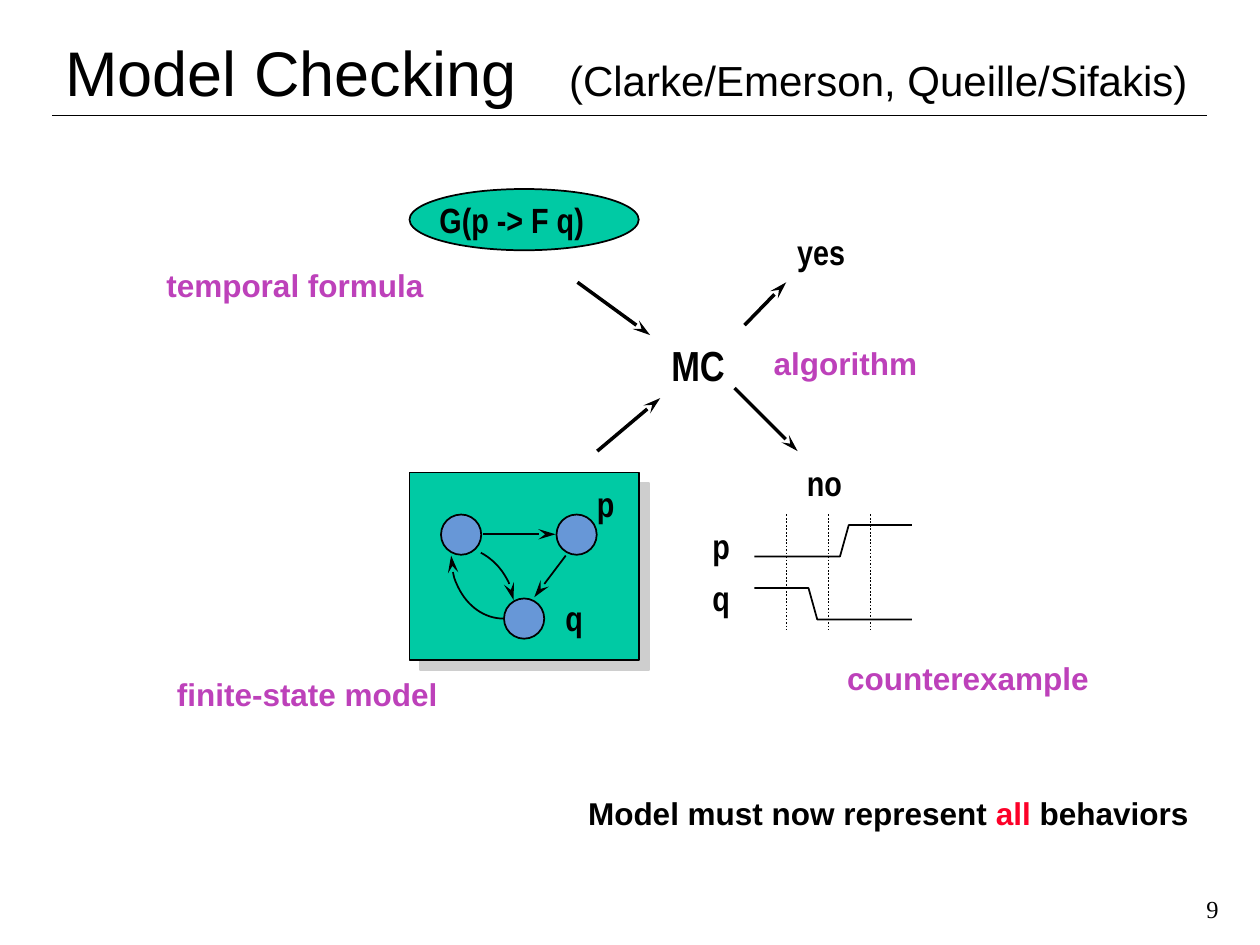
from typing import NamedTuple

from lxml import etree
from pptx import Presentation
from pptx.dml.color import RGBColor
from pptx.enum import dml, shapes, text
from pptx.oxml import ns
from pptx.util import Pt

BLACK = RGBColor(0x00, 0x00, 0x00)
GREEN = RGBColor(0x00, 0xCA, 0xA4)
BLUE = RGBColor(0x67, 0x97, 0xD7)
PURPLE = RGBColor(0xBD, 0x41, 0xBA)
RED = RGBColor(0xFC, 0x01, 0x28)
NARROW = "Arial Narrow"
STATE_SIZE = 23


class Label(NamedTuple):
    words: str
    left: float
    top: float
    width: float


class Segment(NamedTuple):
    x1: float
    y1: float
    x2: float
    y2: float


class Curve(NamedTuple):
    left: float
    top: float
    width: float
    height: float
    start_degrees: float
    end_degrees: float


SYMBOLS = [
    Label("G(p -> F q)", 244, 110, 98),
    Label("yes", 448.5, 128, 42),
    Label("no", 454, 260, 35),
    Label("p", 334, 272, 25),
    Label("q", 316, 337.5, 25),
    Label("p", 400, 296, 25),
    Label("q", 400, 326, 25),
]
CAPTIONS = [
    Label("temporal formula", 88, 148.3, 163),
    Label("finite-state model", 94, 382.3, 165),
    Label("algorithm", 435, 193, 98),
    Label("counterexample", 477, 373, 154),
]
STATES = [(252, 294), (318, 294), (288, 342)]
TRANSITIONS = [Segment(276, 305.3, 317.5, 305.3), Segment(323.3, 317.5, 305.3, 341.3)]
CURVED_TRANSITIONS = [
    Curve(257.8, 281.5, 59.8, 72, 90, 180),
    Curve(223.2, 311.8, 70.6, 72, 297, 352),
]
FLOWS = [
    Segment(330, 161.3, 371.5, 191.5),
    Segment(341.3, 257.8, 377.3, 227.5),
    Segment(425.5, 185.8, 449.3, 161.3),
    Segment(419.8, 221.8, 455.8, 257.8),
]
WAVES = [
    [(431, 318), (480, 318), (485, 300), (521, 300)],
    [(431, 336), (462, 336), (467, 354), (521, 354)],
]


def add_span(para, words: str, *, size: float, font="Arial", color=BLACK, bold=False):
    span = para.add_run()
    span.text = words
    span.font.size = Pt(size)
    span.font.name = font
    span.font.bold = bold
    span.font.color.rgb = color
    return span


def add_label(page, label: Label, *, height: float, **style):
    box = page.shapes.add_textbox(*map(Pt, (label.left, label.top, label.width, height)))
    box.text_frame.word_wrap = False
    box.text_frame.auto_size = text.MSO_AUTO_SIZE.SHAPE_TO_FIT_TEXT
    para = box.text_frame.paragraphs[0]
    add_span(para, label.words, **style)
    return para


def style_line(line, width: float = 1, arrow: bool = False) -> None:
    line.color.rgb = BLACK
    line.width = Pt(width)
    if arrow:
        properties = line._get_or_add_ln()
        etree.SubElement(properties, ns.qn("a:tailEnd"), type="stealth", w="med", len="lg")


def add_segment(page, segment: Segment, width: float = 1, arrow: bool = False):
    connector = page.shapes.add_connector(shapes.MSO_CONNECTOR.STRAIGHT, *map(Pt, segment))
    style_line(connector.line, width, arrow)
    etree.SubElement(connector._element.spPr, ns.qn("a:effectLst"))
    return connector


def add_solid(page, kind, left: float, top: float, width: float, height: float, color):
    shape = page.shapes.add_shape(kind, *map(Pt, (left, top, width, height)))
    shape.shadow.inherit = False
    shape.fill.solid()
    shape.fill.fore_color.rgb = color
    style_line(shape.line)
    return shape


def add_drop_shadow(shape) -> None:
    effects = shape._element.spPr.find(ns.qn("a:effectLst"))
    shadow = etree.SubElement(
        effects, ns.qn("a:outerShdw"), dist=str(Pt(8.5)), dir="2700000", algn="ctr", rotWithShape="0"
    )
    etree.SubElement(shadow, ns.qn("a:srgbClr"), val="CECECE")


def add_curve(page, curve: Curve) -> None:
    shape = page.shapes.add_shape(shapes.MSO_SHAPE.ARC, *map(Pt, curve[:4]))
    shape.adjustments[0] = curve.start_degrees * 0.6
    shape.adjustments[1] = curve.end_degrees * 0.6
    shape.shadow.inherit = False
    shape.fill.background()
    style_line(shape.line, arrow=True)


def add_wave(page, points: list[tuple[int, int]]) -> None:
    builder = page.shapes.build_freeform(*points[0], scale=Pt(1))
    builder.add_line_segments(points[1:], close=False)
    shape = builder.convert_to_shape()
    shape.shadow.inherit = False
    shape.fill.background()
    style_line(shape.line)


def add_title(page) -> None:
    title = page.shapes.title
    title.left, title.top, title.width, title.height = map(Pt, (30, 30, 666, 36))
    frame = title.text_frame
    frame.auto_size = text.MSO_AUTO_SIZE.NONE
    frame.vertical_anchor = text.MSO_ANCHOR.BOTTOM
    para = frame.paragraphs[0]
    para.alignment = text.PP_ALIGN.LEFT
    stops = etree.SubElement(para._p.get_or_add_pPr(), ns.qn("a:tabLst"))
    etree.SubElement(stops, ns.qn("a:tab"), pos=str(Pt(288)), algn="l")
    add_span(para, "Model Checking\t", size=36)
    add_span(para, "(Clarke/Emerson, Queille/Sifakis)", size=24)


def add_page_number(page) -> None:
    box = page.shapes.add_textbox(Pt(673.5), Pt(504), Pt(30), Pt(30))
    box.text_frame.word_wrap = True
    box.text_frame.vertical_anchor = text.MSO_ANCHOR.MIDDLE
    para = box.text_frame.paragraphs[0]
    para.alignment = text.PP_ALIGN.RIGHT
    add_span(para, "9", size=14, font="Times New Roman")


def main() -> None:
    deck = Presentation()
    deck.slide_width, deck.slide_height = Pt(720), Pt(540)
    page = deck.slides.add_slide(deck.slide_layouts[5])
    add_segment(page, Segment(30, 66, 690, 66))
    add_title(page)

    add_solid(page, shapes.MSO_SHAPE.OVAL, 234, 108, 131, 35, GREEN)
    model = add_solid(page, shapes.MSO_SHAPE.RECTANGLE, 234, 270, 131, 107, GREEN)
    add_drop_shadow(model)
    for left, top in STATES:
        add_solid(page, shapes.MSO_SHAPE.OVAL, left, top, STATE_SIZE, STATE_SIZE, BLUE)
    for transition in TRANSITIONS:
        add_segment(page, transition, arrow=True)
    for curve in CURVED_TRANSITIONS:
        add_curve(page, curve)

    for flow in FLOWS:
        add_segment(page, flow, width=2, arrow=True)
    for step in range(3):
        x = 449.5 + 24 * step
        tick = add_segment(page, Segment(x, 294, x, 359.5))
        tick.line.dash_style = dml.MSO_LINE.ROUND_DOT
    for wave in WAVES:
        add_wave(page, wave)

    add_label(page, Label("MC", 376.5, 190.5, 46), height=36, size=24, font=NARROW, bold=True)
    for symbol in SYMBOLS:
        add_label(page, symbol, height=31, size=20, font=NARROW, bold=True)
    for caption in CAPTIONS:
        add_label(page, caption, height=29, size=18, color=PURPLE, bold=True)
    remark = Label("Model must now represent ", 329, 450, 359)
    para = add_label(page, remark, height=29, size=18, bold=True)
    add_span(para, "all", size=18, color=RED, bold=True)
    add_span(para, " behaviors", size=18, bold=True)
    add_page_number(page)
    deck.save("out.pptx")


if __name__ == "__main__":
    main()
